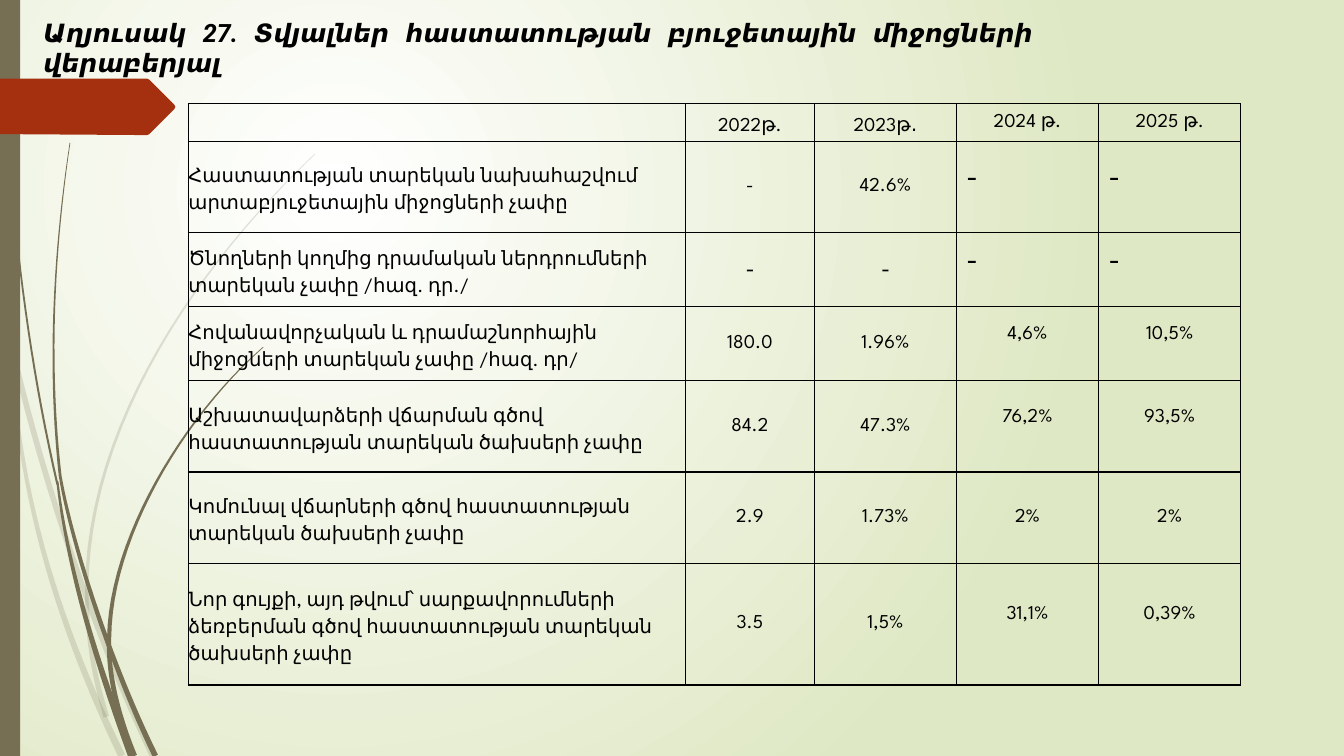
from math import hypot

from lxml.etree import SubElement
from pptx import Presentation
from pptx.dml.color import RGBColor
from pptx.enum.shapes import MSO_SHAPE as Preset
from pptx.enum.text import MSO_ANCHOR as Anchor, MSO_AUTO_SIZE as AutoSize, PP_ALIGN as Align
from pptx.oxml.ns import qn
from pptx.util import Pt

TITLE = "Աղյուսակ 27. Տվյալներ հաստատության բյուջետային միջոցների վերաբերյալ"
MAIN_ROWS = [
    ("", "2022թ.", "2023թ․", "2024 թ."),
    ("Հաստատության տարեկան նախահաշվում արտաբյուջետային միջոցների չափը", "-", "42.6%", "-"),
    ("Ծնողների կողմից դրամական ներդրումների տարեկան չափը /հազ. դր./", "-", "-", "-"),
    ("Հովանավորչական և դրամաշնորհային միջոցների տարեկան չափը /հազ. դր/", "180.0", "1.96%", "4,6%"),
    ("Աշխատավարձերի վճարման գծով հաստատության տարեկան ծախսերի չափը", "84.2", "47.3%", "76,2%"),
    ("Կոմունալ վճարների գծով հաստատության տարեկան ծախսերի չափը", "2.9", "1.73%", "2%"),
    ("Նոր գույքի, այդ թվում՝ սարքավորումների ձեռբերման գծով հաստատության տարեկան ծախսերի չափը",
     "3.5", "1,5%", "31,1%"),
]
LAST_ROWS = [("2025 թ.",), ("-",), ("-",), ("10,5%",), ("93,5%",), ("2%",), ("0,39%",)]
COLUMNS = [355, 92.2, 101.5, 101.5]
HEIGHTS = [26.6, 65.2, 53, 53, 65.2, 65.2, 87]
TABLE_LEFT, TABLE_TOP = 134.6, 74.2

PALE_STEMS = [
    ((0, 209), (22, 317), (61, 439), (109, 540), 4, 4),
    ((8, 252), (14, 360), (44, 451), (87, 540), 2, 5),
    ((225, 110), (144, 187), (62, 302), (62, 422), 0.5, 2.5),
    ((62, 422), (62, 454), (67, 482), (76, 512), 2.5, 4),
]
DARK_STEMS = [
    ((2, 0), (4, 122), (16, 238), (41, 346), 1, 1.5),
    ((41, 344), (48, 403), (67, 468), (94, 540), 1.5, 5),
    ((50, 102), (37, 189), (35, 268), (43, 340), 0.5, 2),
    ((43, 340), (50, 382), (76, 468), (111, 540), 2, 4),
    ((188, 248), (130, 299), (79, 385), (78, 455), 0.5, 3),
    ((78, 455), (77, 479), (83, 508), (96, 540), 3, 4),
]
ARROW = [(0, 56.2), (105.1, 56.2), (106.6, 56.9), (124.6, 74.9), (125.3, 76.3),
         (124.6, 77.8), (106.6, 95.8), (105.1, 96.5), (0, 95.8)]


def color(text):
    return RGBColor.from_string(text)


def apply(target, values):
    for name, value in values.items():
        setattr(target, name, value)


def paint(shape, fill):
    shape.shadow.inherit = False
    shape.fill.solid()
    shape.fill.fore_color.rgb = color(fill)
    shape.line.fill.background()


def outline(page, points, fill):
    corners = [(Pt(x), Pt(y)) for x, y in points]
    builder = page.shapes.build_freeform(*corners[0])
    builder.add_line_segments(corners[1:], close=True)
    shape = builder.convert_to_shape()
    paint(shape, fill)
    return shape


def blend(weights, points):
    return [sum(w * point[axis] for w, point in zip(weights, points)) for axis in (0, 1)]


def stem_points(stem, steps=24):
    *controls, first_width, last_width = stem
    near, far = [], []
    for step in range(steps + 1):
        t = step / steps
        u = 1 - t
        x, y = blend((u ** 3, 3 * t * u * u, 3 * t * t * u, t ** 3), controls)
        dx, dy = blend((-u * u, u * u - 2 * t * u, 2 * t * u - t * t, t * t), controls)
        half = (first_width * u + last_width * t) / 2 / hypot(dx, dy)
        near.append((x - dy * half, y + dx * half))
        far.append((x + dy * half, y - dx * half))
    return near + far[::-1]


def style_cell(cell, text, row, column):
    label, recent = column == 0, column > 2
    dash = recent and text == "-"
    tight = label or row == 0
    side, edge = (0, 0) if tight else (7.2, 3.6)
    lift = 13 if recent and row and text != "2%" else 0
    apply(cell, {"margin_left": Pt(side), "margin_right": Pt(side), "margin_top": Pt(edge),
                 "margin_bottom": Pt(edge + lift), "vertical_anchor": Anchor.MIDDLE})
    cell.fill.background()
    para = cell.text_frame.paragraphs[0]
    para.alignment = Align.LEFT if label or dash else Align.CENTER
    if text and tight and not recent:
        para.line_spacing = 1.5
    cabin = dash or (text == "-" and row == 2)
    apply(para.font, {"size": Pt(18 if dash else 14), "name": "Cabin" if cabin else "League Spartan"})
    para.font.color.rgb = color("000000")
    if text:
        span = para.add_run()
        span.text = text
        apply(span.font, {"size": para.font.size, "name": para.font.name})
        span.font.color.rgb = color("000000")
    properties = cell._tc.get_or_add_tcPr()
    for place, side_name in enumerate(("lnL", "lnR", "lnT", "lnB")):
        border = properties.makeelement(qn(f"a:{side_name}"), {"w": str(int(Pt(1)))})
        properties.insert(place, border)
        SubElement(SubElement(border, qn("a:solidFill")), qn("a:srgbClr"), val="000000")


def add_grid(page, rows, left, widths, first_column):
    frame = page.shapes.add_table(len(rows), len(widths), Pt(left), Pt(TABLE_TOP),
                                  Pt(sum(widths)), Pt(sum(HEIGHTS)))
    table = frame.table
    apply(table, {"first_row": False, "horz_banding": False})
    for column, width in zip(table.columns, widths):
        column.width = Pt(width)
    for row, height in zip(table.rows, HEIGHTS):
        row.height = Pt(height)
    for r, texts in enumerate(rows):
        for c, text in enumerate(texts):
            style_cell(table.cell(r, c), text, r, first_column + c)


def add_background(page):
    fill = page.background.fill
    fill.gradient()
    for stop, position, shade in zip(fill.gradient_stops, (0, 1), ("FFFFFF", "DFE8C4")):
        stop.position = position
        stop.color.rgb = color(shade)
    gradient = next(page.element.iter(qn("a:gradFill")))
    for line in gradient.findall(qn("a:lin")):
        gradient.remove(line)
    circle = gradient.makeelement(qn("a:path"), {"path": "circle"})
    gradient.find(qn("a:gsLst")).addnext(circle)
    SubElement(circle, qn("a:fillToRect"), l="50000", t="50000", r="100000", b="100000")


def add_title(page):
    title = page.shapes.title
    apply(title, {"left": Pt(23.8), "top": Pt(8.6), "width": Pt(721.4), "height": Pt(28.8)})
    apply(title.text_frame, {"word_wrap": True, "auto_size": AutoSize.NONE, "vertical_anchor": Anchor.TOP})
    para = title.text_frame.paragraphs[0]
    para.alignment = Align.JUSTIFY
    span = para.add_run()
    span.text = TITLE
    apply(span.font, {"size": Pt(18), "name": "Roboto", "bold": True, "italic": True})
    span.font.color.rgb = color("000000")
    title.element.getparent().append(title.element)


def main():
    deck = Presentation()
    apply(deck, {"slide_width": Pt(960), "slide_height": Pt(540)})
    page = deck.slides.add_slide(deck.slide_layouts[5])
    add_background(page)
    for stem in PALE_STEMS:
        shape = outline(page, stem_points(stem), "766F54")
        tone = next(shape.element.iter(qn("a:srgbClr")))
        SubElement(tone, qn("a:alpha"), val="20000")
    for stem in DARK_STEMS:
        outline(page, stem_points(stem), "766F54")
    paint(page.shapes.add_shape(Preset.RECTANGLE, 0, 0, Pt(14.4), Pt(540)), "766F54")
    outline(page, ARROW, "A53010")
    add_title(page)
    add_grid(page, MAIN_ROWS, TABLE_LEFT, COLUMNS, 0)
    add_grid(page, LAST_ROWS, TABLE_LEFT + sum(COLUMNS), COLUMNS[-1:], len(COLUMNS))
    deck.save("out.pptx")


if __name__ == "__main__":
    main()
